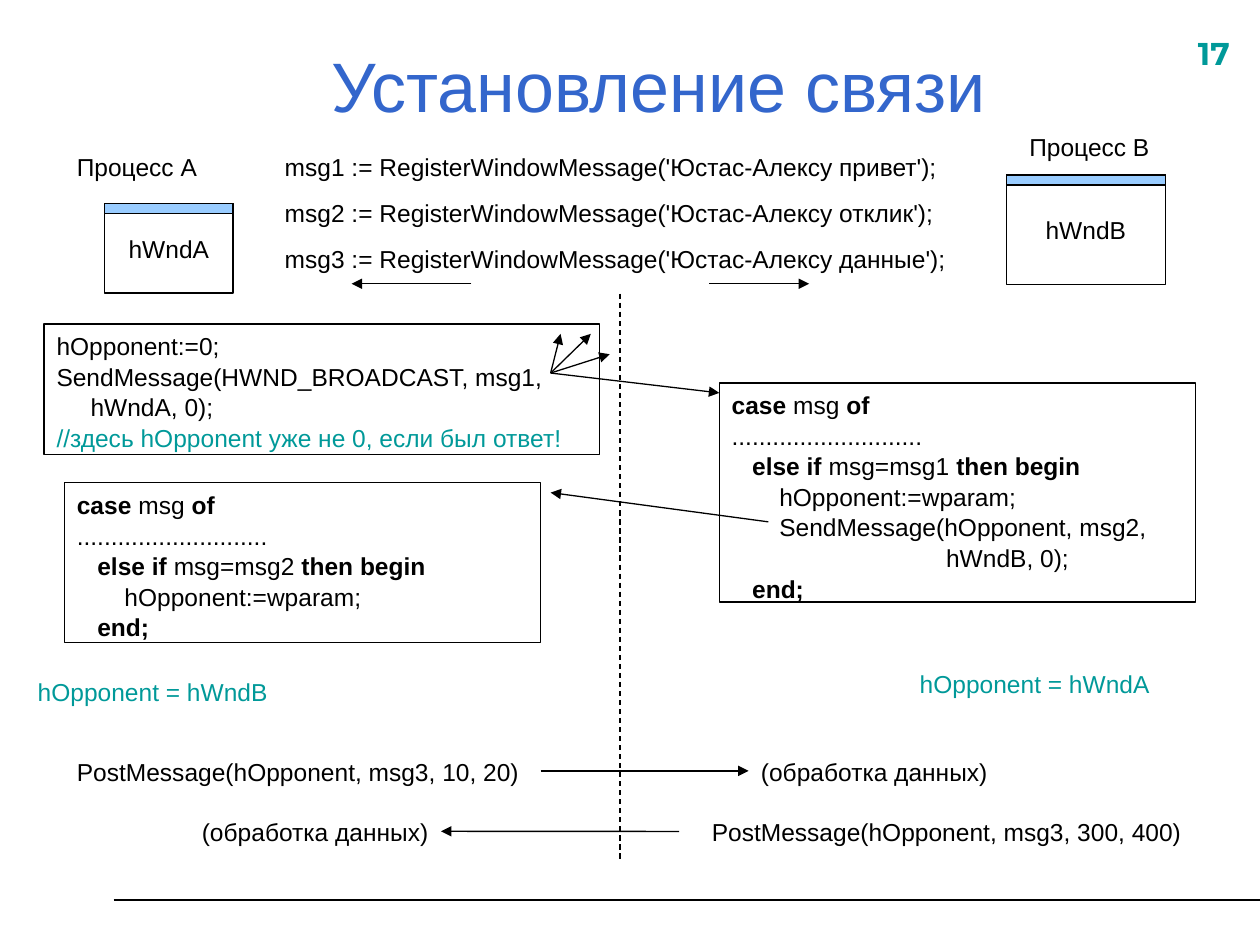
from dataclasses import dataclass

from lxml import etree
from pptx import Presentation
from pptx.dml.color import RGBColor
from pptx.enum.dml import MSO_LINE
from pptx.enum.shapes import MSO_CONNECTOR, MSO_SHAPE
from pptx.enum.text import MSO_ANCHOR, PP_ALIGN
from pptx.oxml.ns import qn
from pptx.util import Cm, Pt

STRAIGHT = MSO_CONNECTOR.STRAIGHT
RECTANGLE = MSO_SHAPE.RECTANGLE
DASH = MSO_LINE.DASH
LEFT, CENTER, RIGHT = PP_ALIGN.LEFT, PP_ALIGN.CENTER, PP_ALIGN.RIGHT
TOP, MIDDLE = MSO_ANCHOR.TOP, MSO_ANCHOR.MIDDLE
LEFT_SIDE, RIGHT_SIDE = 1, 3


@dataclass(frozen=True)
class Theme:
    black: RGBColor = RGBColor(0x00, 0x00, 0x00)
    white: RGBColor = RGBColor(0xFF, 0xFF, 0xFF)
    blue: RGBColor = RGBColor(0x33, 0x66, 0xCC)
    teal: RGBColor = RGBColor(0x00, 0x99, 0x99)
    bar: RGBColor = RGBColor(0x99, 0xCC, 0xFF)
    font: str = "Arial"
    number_font: str = "Montserrat"
    body: float = 14
    number: float = 18
    title: float = 40
    line: float = 0.75
    footer_line: float = 1.25
    line_spacing: float = 1.04
    space_before: float = 8.8


THEME = Theme()


@dataclass(frozen=True)
class Box:
    """A rectangle, in centimetres."""
    left: float
    top: float
    width: float
    height: float = 0.86

    def lengths(self):
        return Cm(self.left), Cm(self.top), Cm(self.width), Cm(self.height)


@dataclass(frozen=True)
class Label:
    box: Box
    text: str
    color: RGBColor = THEME.black
    size: float = THEME.body
    font: str = THEME.font
    bold: bool = False
    align: PP_ALIGN = LEFT
    anchor: MSO_ANCHOR = TOP


@dataclass(frozen=True)
class Window:
    box: Box
    name: str


@dataclass(frozen=True)
class CodeBox:
    """Code lines; the parts between asterisks are bold."""
    box: Box
    lines: tuple[str, ...]


@dataclass(frozen=True)
class Arrow:
    start: tuple[float, float]
    end: tuple[float, float]


def handler(message: str, *actions: str) -> tuple[str, ...]:
    return ("*case* msg *of*", "." * 28,
            f"   *else if* msg={message} *then begin*", *actions, "   *end;*")


def style(paragraph, color=THEME.black, size=THEME.body, font=THEME.font,
          bold=False) -> None:
    paragraph.font.name = font
    paragraph.font.size = Pt(size)
    paragraph.font.bold = bold
    paragraph.font.color.rgb = color


def add_label(slide, label: Label):
    shape = slide.shapes.add_textbox(*label.box.lengths())
    frame = shape.text_frame
    frame.word_wrap = True
    frame.vertical_anchor = label.anchor
    frame.text = label.text
    for index, paragraph in enumerate(frame.paragraphs):
        paragraph.alignment = label.align
        paragraph.line_spacing = THEME.line_spacing
        if index:
            paragraph.space_before = Pt(THEME.space_before)
        style(paragraph, label.color, label.size, label.font, label.bold)
    return shape


def add_rectangle(slide, box: Box, fill: RGBColor | None = None):
    shape = slide.shapes.add_shape(RECTANGLE, *box.lengths())
    shape.shadow.inherit = False
    if fill is None:
        shape.fill.background()
    else:
        shape.fill.solid()
        shape.fill.fore_color.rgb = fill
    shape.line.color.rgb = THEME.black
    shape.line.width = Pt(THEME.line)
    return shape


def add_window(slide, window: Window) -> None:
    frame = add_rectangle(slide, window.box, THEME.white).text_frame
    frame.word_wrap = False
    frame.vertical_anchor = MIDDLE
    frame.text = window.name
    frame.paragraphs[0].alignment = CENTER
    style(frame.paragraphs[0])
    box = window.box
    add_rectangle(slide, Box(box.left, box.top, box.width, 0.2), THEME.bar)


def add_code(slide, code: CodeBox) -> None:
    frame = add_rectangle(slide, code.box).text_frame
    frame.word_wrap = True
    frame.vertical_anchor = TOP
    paragraph = frame.paragraphs[0]
    paragraph.alignment = LEFT
    paragraph.line_spacing = THEME.line_spacing
    tabs = etree.SubElement(paragraph._p.get_or_add_pPr(), qn("a:tabLst"))
    etree.SubElement(tabs, qn("a:tab"), pos=str(Cm(2.54)), algn="l")
    style(paragraph)
    for index, line in enumerate(code.lines):
        if index:
            paragraph.add_line_break()
        for position, part in enumerate(line.split("*")):
            if not part.strip("*"):
                continue
            run = paragraph.add_run()
            run.text = part
            if position % 2:
                run.font.bold = True
            if part.startswith("//"):
                run.font.color.rgb = THEME.teal


def add_line(slide, line: Arrow, width: float = THEME.line, head: bool = False):
    connector = slide.shapes.add_connector(
        STRAIGHT, *(Cm(value) for value in (*line.start, *line.end)))
    connector.line.color.rgb = THEME.black
    connector.line.width = Pt(width)
    if head:
        etree.SubElement(connector.line._get_or_add_ln(), qn("a:tailEnd"), type="triangle")
    etree.SubElement(connector._element.spPr, qn("a:effectLst"))
    return connector


REGISTRATION = "\n".join(
    f"msg{number} := RegisterWindowMessage('Юстас-Алексу {word}');"
    for number, word in enumerate(("привет", "отклик", "данные"), 1))

LABELS = (
    Label(Box(23.9, 0.53, 1.6, 1.12), "17", THEME.teal, THEME.number,
          THEME.number_font, True),
    Label(Box(1.85, 0.81, 22.86, 1.73), "Установление связи", THEME.blue,
          THEME.title, align=CENTER, anchor=MIDDLE),
    Label(Box(1.3, 2.92, 7.59), "Процесс А"),
    Label(Box(20.5, 2.51, 3.2), "Процесс B"),
    Label(Box(5.49, 2.92, 14.2, 2.67), REGISTRATION),
    Label(Box(0.51, 13.51, 5.79), "hOpponent = hWndB", THEME.teal),
    Label(Box(18.29, 13.34, 5.82), "hOpponent = hWndA", THEME.teal),
    Label(Box(1.3, 15.11, 10.59), "PostMessage(hOpponent, msg3, 10, 20)"),
    Label(Box(14.1, 16.33, 10.59), "PostMessage(hOpponent, msg3, 300, 400)"),
)
WINDOWS = (Window(Box(2.11, 4.11, 2.59, 1.8), "hWndA"),
           Window(Box(20.29, 3.53, 3.2, 2.21), "hWndB"))
CODE = (
    CodeBox(Box(0.89, 6.53, 11.2, 2.64), (
        "hOpponent:=0;", "SendMessage(HWND_BROADCAST, msg1,", "     hWndA, 0);",
        "//здесь hOpponent уже не 0, если был ответ!")),
    CodeBox(Box(14.5, 7.72, 9.6, 4.42), handler(
        "msg1", "       hOpponent:=wparam;", "       SendMessage(hOpponent, msg2,",
        "\t             hWndB, 0);")),
    CodeBox(Box(1.3, 9.73, 9.6, 3.23), handler("msg2", "       hOpponent:=wparam;")),
)
BROADCAST = (11.1, 7.52)
TARGETS = ((14.5, 7.92), (12.29, 7.14), (11.91, 6.73), (11.3, 6.73))
ARROWS = (
    Arrow((9.5, 5.72), (7.09, 5.72)),
    Arrow((14.3, 5.72), (16.31, 5.72)),
    Arrow((15.49, 10.52), (11.1, 9.93)),
    *(Arrow(BROADCAST, target) for target in TARGETS),
)
# Data messages: arrow, receiving label, side of the label it reaches
DATA = (
    (Arrow((10.9, 15.54), (15.09, 15.54)),
     Label(Box(15.09, 15.11, 8.81), "(обработка данных)"), LEFT_SIDE),
    (Arrow((13.69, 16.76), (8.89, 16.76)),
     Label(Box(3.1, 16.33, 5.79), "(обработка данных)", align=RIGHT), RIGHT_SIDE),
)


def main() -> None:
    presentation = Presentation()
    presentation.slide_width, presentation.slide_height = Cm(25.4), Cm(19.05)
    slide = presentation.slides.add_slide(presentation.slide_layouts[6])

    # Footer rule and divider between the processes
    add_line(slide, Arrow((2.29, 18.14), (25.4, 18.14)), THEME.footer_line)
    add_line(slide, Arrow((12.5, 5.92), (12.5, 17.32))).line.dash_style = DASH

    # Texts, windows and code
    for label in LABELS:
        add_label(slide, label)
    for window in WINDOWS:
        add_window(slide, window)
    for code in CODE:
        add_code(slide, code)

    # Messages
    for arrow in ARROWS:
        add_line(slide, arrow, head=True)
    for arrow, label, side in DATA:
        receiver = add_label(slide, label)
        add_line(slide, arrow, head=True).end_connect(receiver, side)

    presentation.save("out.pptx")


if __name__ == "__main__":
    main()
